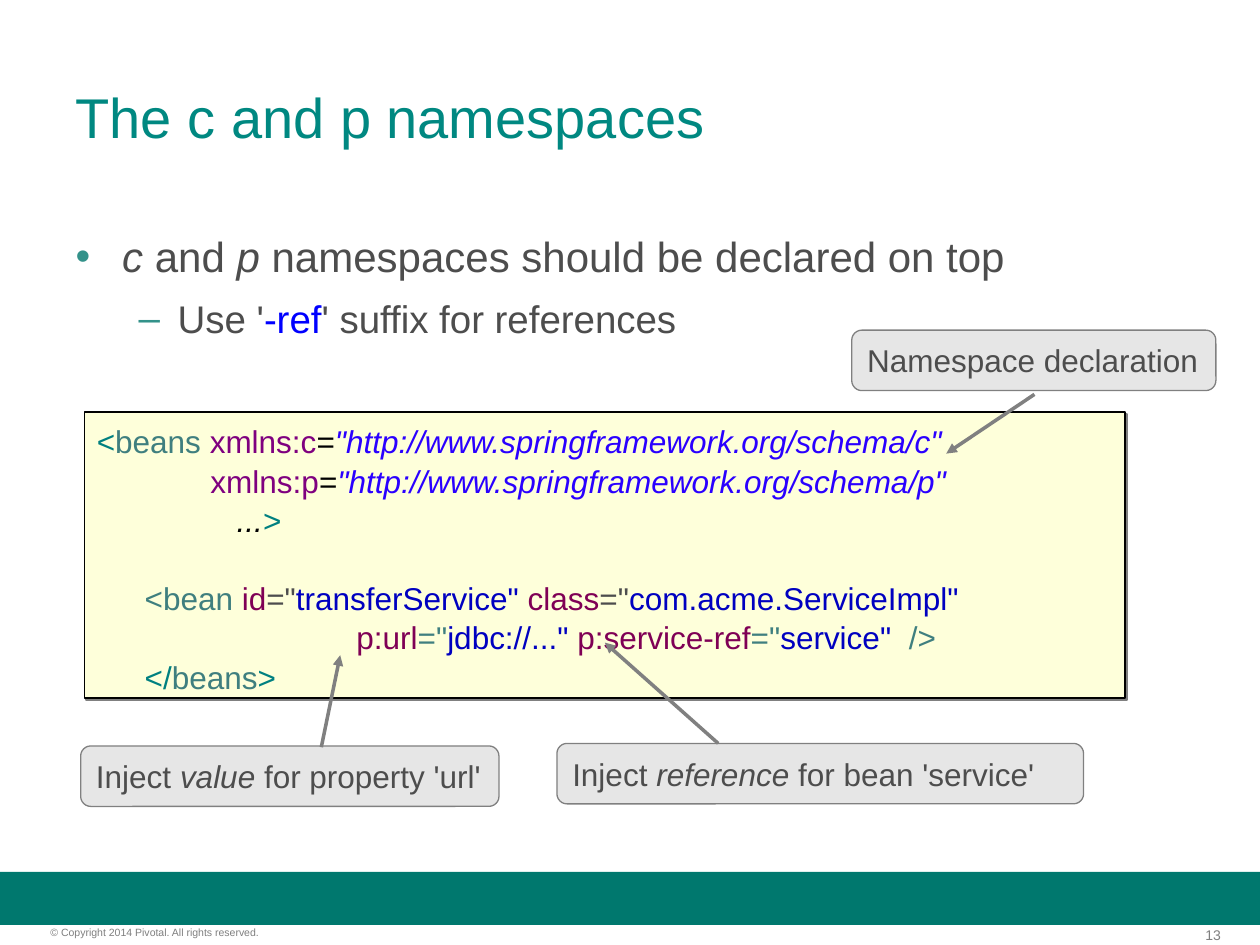
"""Build the slide about the c and p namespaces."""
from dataclasses import dataclass
from typing import Optional

from lxml.etree import SubElement
from pptx import Presentation
from pptx.dml.color import RGBColor
from pptx.enum.shapes import MSO_CONNECTOR, MSO_SHAPE
from pptx.enum.text import MSO_ANCHOR, MSO_AUTO_SIZE, PP_ALIGN
from pptx.oxml.ns import qn
from pptx.util import Inches, Pt

FONT_NAME = "Arial"
BLACK = RGBColor(0x00, 0x00, 0x00)
TEXT_GRAY = RGBColor(0x4D, 0x4D, 0x4D)
FOOTER_GRAY = RGBColor(0x7F, 0x7F, 0x7F)
LINE_GRAY = RGBColor(0x80, 0x80, 0x80)
CALLOUT_GRAY = RGBColor(0xE6, 0xE6, 0xE6)
BAR_GREEN = RGBColor(0x00, 0x78, 0x6E)
TITLE_GREEN = RGBColor(0x00, 0x88, 0x81)
BULLET_GREEN = RGBColor(0x33, 0x92, 0x8A)
CODE_YELLOW = RGBColor(0xFE, 0xFF, 0xDA)
BRACKET_TEAL = RGBColor(0x00, 0x80, 0x80)
TAG_TEAL = RGBColor(0x3F, 0x7F, 0x7F)
NAMESPACE_PURPLE = RGBColor(0x7F, 0x00, 0x7F)
ATTRIBUTE_PURPLE = RGBColor(0x7F, 0x00, 0x55)
ADDRESS_BLUE = RGBColor(0x2A, 0x00, 0xFF)
VALUE_BLUE = RGBColor(0x00, 0x00, 0xC0)
SUFFIX_BLUE = RGBColor(0x00, 0x00, 0xFF)


@dataclass
class Span:
    text: str
    color: RGBColor = TEXT_GRAY
    italic: bool = False


@dataclass
class CodeLine:
    spans: list[Span]
    margin: float = 0
    indent: float = 0
    space_before: float = 1


@dataclass
class Bullet:
    spans: list[Span]
    level: int
    character: str
    size: float
    margin: float
    indent: float
    space_before: float


@dataclass
class Callout:
    box: tuple[float, float, float, float]
    spans: list[Span]
    arrow_start: tuple[float, float]
    arrow_end: tuple[float, float]


CODE_LINES = [
    CodeLine([Span("<", BRACKET_TEAL), Span("beans ", TAG_TEAL),
              Span("xmlns:c", NAMESPACE_PURPLE), Span("=", BLACK),
              Span('"http://www.springframework.org/schema/c"', ADDRESS_BLUE, True)],
             space_before=0),
    CodeLine([Span("             xmlns:p", NAMESPACE_PURPLE), Span("=", BLACK),
              Span('"http://www.springframework.org/schema/p"', ADDRESS_BLUE, True)]),
    CodeLine([Span("                ...", BLACK, True), Span(">", BRACKET_TEAL)]),
    CodeLine([Span("\t<bean ", TAG_TEAL), Span("id", ATTRIBUTE_PURPLE), Span('="'),
              Span('transferService" ', VALUE_BLUE), Span("class", ATTRIBUTE_PURPLE),
              Span('="'), Span('com.acme.ServiceImpl"', VALUE_BLUE)],
             margin=0.38, indent=-0.38, space_before=22.7),
    CodeLine([Span("   \t                 "), Span("p:url", ATTRIBUTE_PURPLE),
              Span('="', TAG_TEAL), Span('jdbc://..." ', VALUE_BLUE),
              Span("p:service-ref", ATTRIBUTE_PURPLE), Span('="', TAG_TEAL),
              Span('service"  ', VALUE_BLUE), Span("/>", TAG_TEAL)], margin=0.38),
    CodeLine([Span("</", BRACKET_TEAL), Span("beans", TAG_TEAL),
              Span(">", BRACKET_TEAL)], margin=0.38),
]
BULLETS = [
    Bullet([Span("c", italic=True), Span(" and "), Span("p", italic=True),
            Span(" namespaces should be declared on top")], 0, "•", 24, 0.37, -0.37, 0),
    Bullet([Span("Use '"), Span("-ref", SUFFIX_BLUE),
            Span("' suffix for references")], 1, "–", 22, 0.81, -0.31, 8),
]
CALLOUTS = [
    Callout((4.42, 5.9, 4.18, 0.48),
            [Span("Inject "), Span("reference", italic=True),
             Span(" for bean 'service'")], (5.7, 5.9), (4.8, 5.1)),
    Callout((0.64, 5.92, 3.32, 0.48),
            [Span("Inject "), Span("value", italic=True),
             Span(" for property 'url'")], (2.55, 5.93), (2.7, 5.2)),
    Callout((6.76, 2.62, 2.89, 0.48), [Span("Namespace declaration")],
            (8.21, 3.13), (7.51, 3.6)),
]


def add_spans(paragraph, spans: list[Span], size: float) -> None:
    for span in spans:
        run = paragraph.add_run()
        run.text = span.text
        run.font.name = FONT_NAME
        run.font.size = Pt(size)
        run.font.italic = span.italic
        run.font.color.rgb = span.color


def set_indent(paragraph, margin: float, indent: float) -> None:
    properties = paragraph._p.get_or_add_pPr()
    properties.set("marL", str(Inches(margin)))
    properties.set("indent", str(Inches(indent)))


def place(shape, box: tuple[float, float, float, float]) -> None:
    shape.left, shape.top, shape.width, shape.height = map(Inches, box)


def add_box(slide, preset, box, fill: RGBColor, line: Optional[RGBColor] = None,
            line_width: float = 0):
    shape = slide.shapes.add_shape(preset, *map(Inches, box))
    shape.shadow.inherit = False
    shape.fill.solid()
    shape.fill.fore_color.rgb = fill
    if line is None:
        shape.line.fill.background()
    else:
        shape.line.color.rgb = line
        shape.line.width = Pt(line_width)
    return shape


def add_footer(slide, box, text: str, size: float, alignment) -> None:
    frame = slide.shapes.add_textbox(*map(Inches, box)).text_frame
    frame.word_wrap = True
    frame.margin_left = frame.margin_right = frame.margin_top = frame.margin_bottom = 0
    frame.paragraphs[0].alignment = alignment
    add_spans(frame.paragraphs[0], [Span(text, FOOTER_GRAY)], size)


def fill_title(title) -> None:
    place(title, (0.5, 0.3, 9, 1.25))
    title.text_frame.auto_size = MSO_AUTO_SIZE.NONE
    title.text_frame.vertical_anchor = MSO_ANCHOR.MIDDLE
    paragraph = title.text_frame.paragraphs[0]
    paragraph.alignment = PP_ALIGN.LEFT
    add_spans(paragraph, [Span("The c and p namespaces", TITLE_GREEN)], 32)


def fill_body(body) -> None:
    place(body, (0.5, 1.75, 9, 4.95))
    frame = body.text_frame
    frame.auto_size = MSO_AUTO_SIZE.NONE
    frame.margin_top = Inches(0.08)
    for index, bullet in enumerate(BULLETS):
        paragraph = frame.add_paragraph() if index else frame.paragraphs[0]
        paragraph.level = bullet.level
        set_indent(paragraph, bullet.margin, bullet.indent)
        properties = paragraph._p.get_or_add_pPr()
        color = SubElement(properties, qn("a:buClr"))
        SubElement(color, qn("a:srgbClr"), val=str(BULLET_GREEN))
        SubElement(properties, qn("a:buFont"), typeface=FONT_NAME)
        SubElement(properties, qn("a:buChar"), char=bullet.character)
        paragraph.space_before = Pt(bullet.space_before)
        add_spans(paragraph, bullet.spans, bullet.size)


def add_code(slide) -> None:
    shape = add_box(slide, MSO_SHAPE.RECTANGLE, (0.67, 3.27, 8.26, 2.27),
                    CODE_YELLOW, BLACK, 1)
    effects = shape._element.spPr.find(qn("a:effectLst"))
    shadow = SubElement(effects, qn("a:outerShdw"), dist=str(Pt(1.4)),
                        dir="2700000", algn="tl", rotWithShape="0")
    SubElement(shadow, qn("a:srgbClr"), val=str(LINE_GRAY))
    frame = shape.text_frame
    frame.vertical_anchor = MSO_ANCHOR.TOP
    frame.margin_top = Inches(0.08)
    for index, line in enumerate(CODE_LINES):
        paragraph = frame.add_paragraph() if index else frame.paragraphs[0]
        paragraph.alignment = PP_ALIGN.LEFT
        paragraph.space_before = Pt(line.space_before)
        set_indent(paragraph, line.margin, line.indent)
        add_spans(paragraph, line.spans, 18)


def add_callout(slide, callout: Callout) -> None:
    shape = add_box(slide, MSO_SHAPE.ROUNDED_RECTANGLE, callout.box, CALLOUT_GRAY, LINE_GRAY)
    shape.text_frame.word_wrap = False
    shape.text_frame.paragraphs[0].alignment = PP_ALIGN.LEFT
    add_spans(shape.text_frame.paragraphs[0], callout.spans, 18)
    ends = map(Inches, callout.arrow_start + callout.arrow_end)
    connector = slide.shapes.add_connector(MSO_CONNECTOR.STRAIGHT, *ends)
    connector.line.color.rgb = LINE_GRAY
    connector.line.width = Pt(0)
    SubElement(connector.line._get_or_add_ln(), qn("a:tailEnd"), type="triangle")
    SubElement(connector._element.spPr, qn("a:effectLst"))


def main() -> None:
    presentation = Presentation()
    presentation.slide_width, presentation.slide_height = Inches(10), Inches(7.5)
    slide = presentation.slides.add_slide(presentation.slide_layouts[1])
    fill_title(slide.shapes.title)
    fill_body(slide.placeholders[1])
    add_box(slide, MSO_SHAPE.RECTANGLE, (0, 6.92, 10, 0.42), BAR_GREEN)
    add_footer(slide, (9.33, 7.35, 0.36, 0.13), "13", 8, PP_ALIGN.RIGHT)
    add_footer(slide, (0.4, 7.35, 2.49, 0.1),
               "© Copyright 2014 Pivotal. All rights reserved.", 6, PP_ALIGN.LEFT)
    add_code(slide)
    for callout in CALLOUTS:
        add_callout(slide, callout)
    presentation.save("out.pptx")


if __name__ == "__main__":
    main()
